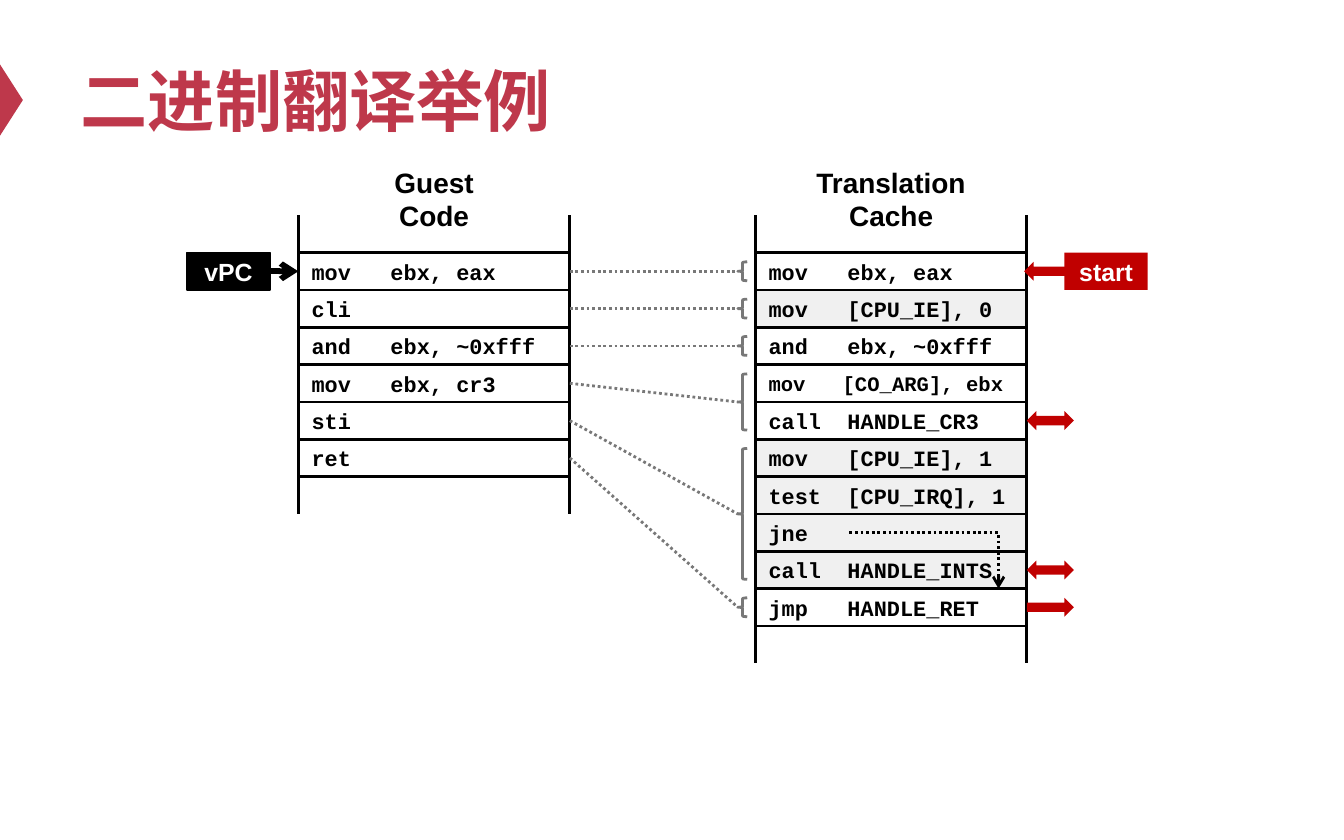
from dataclasses import dataclass
from typing import NamedTuple

from lxml import etree
from pptx import Presentation
from pptx import util as u
from pptx.dml.color import RGBColor
from pptx.enum import dml, shapes, text
from pptx.oxml import ns


@dataclass(frozen=True)
class Theme:
    title: str = "BE384B"
    ink: str = "000000"
    paper: str = "FFFFFF"
    shaded: str = "F0F0F0"
    link: str = "787878"
    accent: str = "C00000"
    sans: str = "Arial"
    mono: str = "Courier New"
    title_size: float = 36
    heading_size: float = 15
    label_size: float = 13.3
    code_size: float = 11.7
    small_code_size: float = 11


class Code(NamedTuple):
    words: str
    shaded: bool = False
    size: float = Theme.code_size


class Column(NamedTuple):
    heading: str
    left: float
    rows: list


class Group(NamedTuple):
    first: int
    count: int


class Exit(NamedTuple):
    row: int
    kind: shapes.MSO_SHAPE
    left: float
    width: float


THEME = Theme()
TOP, ROW, WIDTH = 1.88, 2.5 / 9, 2.02
LABEL_WIDTH = 0.62
MARK_HEIGHT = 0.14
BRACE_LEFT, BRACE_WIDTH = 5.49, 0.07

GUEST = Column("Guest\vCode", 2.22, [
    Code("mov   ebx, eax"), Code("cli"), Code("and   ebx, ~0xfff"),
    Code("mov   ebx, cr3"), Code("sti"), Code("ret"),
])
CACHE = Column("Translation\vCache", 5.62, [
    Code("mov   ebx, eax"),
    Code("mov   [CPU_IE], 0", True),
    Code("and   ebx, ~0xfff"),
    Code("mov   [CO_ARG], ebx", size=THEME.small_code_size),
    Code("call  HANDLE_CR3"),
    Code("mov   [CPU_IE], 1", True),
    Code("test  [CPU_IRQ], 1", True),
    Code("jne", True),
    Code("call  HANDLE_INTS", True),
    Code("jmp   HANDLE_RET"),
])
# Cache rows that each guest row, in order, is translated into
GROUPS = [Group(0, 1), Group(1, 1), Group(2, 1), Group(3, 2), Group(5, 4), Group(9, 1)]
EXITS = [
    Exit(0, shapes.MSO_SHAPE.LEFT_ARROW, 7.62, 0.37),
    Exit(4, shapes.MSO_SHAPE.LEFT_RIGHT_ARROW, 7.64, 0.35),
    Exit(8, shapes.MSO_SHAPE.LEFT_RIGHT_ARROW, 7.64, 0.35),
    Exit(9, shapes.MSO_SHAPE.RIGHT_ARROW, 7.64, 0.35),
]


def row_top(row: float) -> float:
    return TOP + row * ROW


def set_all(target, values: dict) -> None:
    for name, value in values.items():
        setattr(target, name, value)


def write(box, words: str, size: float, color: str, font: str = THEME.sans,
          align=text.PP_ALIGN.LEFT, anchor=text.MSO_ANCHOR.MIDDLE, wrap: bool = True) -> None:
    frame = box.text_frame
    set_all(frame, {"word_wrap": wrap, "vertical_anchor": anchor})
    para = frame.paragraphs[0]
    para.text = words
    para.alignment = align
    for span in para.runs:
        set_all(span.font, {"name": font, "size": u.Pt(size), "bold": True})
        span.font.color.rgb = RGBColor.from_string(color)


def add_box(page, kind, left: float, top: float, width: float, height: float,
            fill: str = "", line: str = "", weight: float = 1.5):
    box = page.shapes.add_shape(kind, *map(u.Inches, (left, top, width, height)))
    box.shadow.inherit = False
    if fill:
        box.fill.solid()
        box.fill.fore_color.rgb = RGBColor.from_string(fill)
    else:
        box.fill.background()
    if line:
        box.line.color.rgb = RGBColor.from_string(line)
        box.line.width = u.Pt(weight)
    else:
        box.line.fill.background()
    return box


def add_line(page, x1: float, y1: float, x2: float, y2: float, color: str = THEME.ink,
             weight: float = 1.5, dotted: bool = False, arrow: bool = False,
             kind=shapes.MSO_CONNECTOR.STRAIGHT):
    line = page.shapes.add_connector(kind, *map(u.Inches, (x1, y1, x2, y2)))
    line.line.color.rgb = RGBColor.from_string(color)
    line.line.width = u.Pt(weight)
    if dotted:
        line.line.dash_style = dml.MSO_LINE.ROUND_DOT
    if arrow:
        etree.SubElement(line.line._get_or_add_ln(), ns.qn("a:tailEnd"), type="arrow")
    etree.SubElement(line._element.spPr, ns.qn("a:effectLst"))
    return line


def add_column(page, column: Column) -> list:
    cells = []
    for row, code in enumerate(column.rows):
        cell = add_box(page, shapes.MSO_SHAPE.RECTANGLE, column.left, row_top(row), WIDTH, ROW,
                       THEME.shaded if code.shaded else THEME.paper, THEME.ink)
        write(cell, code.words, code.size, THEME.ink, THEME.mono)
        cells.append(cell)
    # Side rails run one row past the code at both ends
    for x in (column.left, column.left + WIDTH):
        add_line(page, x, row_top(-1), x, row_top(len(column.rows) + 1))
    heading = page.shapes.add_textbox(
        *map(u.Inches, (column.left, 1.18, WIDTH, 0.58)))
    write(heading, column.heading, THEME.heading_size, THEME.ink,
          align=text.PP_ALIGN.CENTER, anchor=text.MSO_ANCHOR.TOP)
    return cells


def add_label(page, words: str, left: float, fill: str, line: str = ""):
    label = add_box(page, shapes.MSO_SHAPE.RECTANGLE, left, TOP, LABEL_WIDTH, ROW,
                    fill, line, 0.75)
    write(label, words, THEME.label_size, THEME.paper,
          align=text.PP_ALIGN.CENTER, wrap=False)
    return label


def add_group_link(page, cell, row: int, group: Group) -> None:
    margin = (ROW - MARK_HEIGHT) / 2
    add_box(page, shapes.MSO_SHAPE.LEFT_BRACE, BRACE_LEFT, row_top(group.first) + margin,
            BRACE_WIDTH, group.count * ROW - 2 * margin, line=THEME.link)
    link = add_line(page, GUEST.left + WIDTH, row_top(row + 0.5), BRACE_LEFT,
                    row_top(group.first + group.count / 2), THEME.link, dotted=True)
    link.begin_connect(cell, 3)


def main() -> None:
    deck = Presentation()
    deck.slide_width, deck.slide_height = u.Inches(10), u.Inches(6.25)
    page = deck.slides.add_slide(deck.slide_layouts[5])

    # Title and its side marker
    title = page.shapes.title
    set_all(title, dict(zip(("left", "top", "width", "height"),
                            map(u.Inches, (0.5, 0.25, 9, 0.98)))))
    write(title, "二进制翻译举例", THEME.title_size, THEME.title)
    marker = add_box(page, shapes.MSO_SHAPE.ISOSCELES_TRIANGLE, -0.18, 0.66, 0.53, 0.17,
                     THEME.title)
    marker.rotation = 90

    # Code columns and the links between them
    guest_cells = add_column(page, GUEST)
    add_column(page, CACHE)
    for row, (cell, group) in enumerate(zip(guest_cells, GROUPS)):
        add_group_link(page, cell, row, group)

    # Entry labels
    counter = add_label(page, "vPC", 1.39, THEME.ink, THEME.ink)
    pointer = add_line(page, 2.01, row_top(0.5), GUEST.left, row_top(0.5), weight=3, arrow=True)
    pointer.begin_connect(counter, 3)
    pointer.end_connect(guest_cells[0], 1)
    add_label(page, "start", 7.92, THEME.accent)

    # Arrows into and out of the cache
    for leave in EXITS:
        add_box(page, leave.kind, leave.left, row_top(leave.row + 0.5) - MARK_HEIGHT / 2,
                leave.width, MARK_HEIGHT, THEME.accent)

    # Jump over the interrupt call, turning at its far end
    jump = add_line(page, 6.32, row_top(7.5), 7.43, row_top(9), dotted=True, arrow=True,
                    kind=shapes.MSO_CONNECTOR.ELBOW)
    guides = jump._element.spPr.find(ns.qn("a:prstGeom")).get_or_add_avLst()
    etree.SubElement(guides, ns.qn("a:gd"), name="adj1", fmla="val 100000")

    deck.save("out.pptx")


if __name__ == "__main__":
    main()
